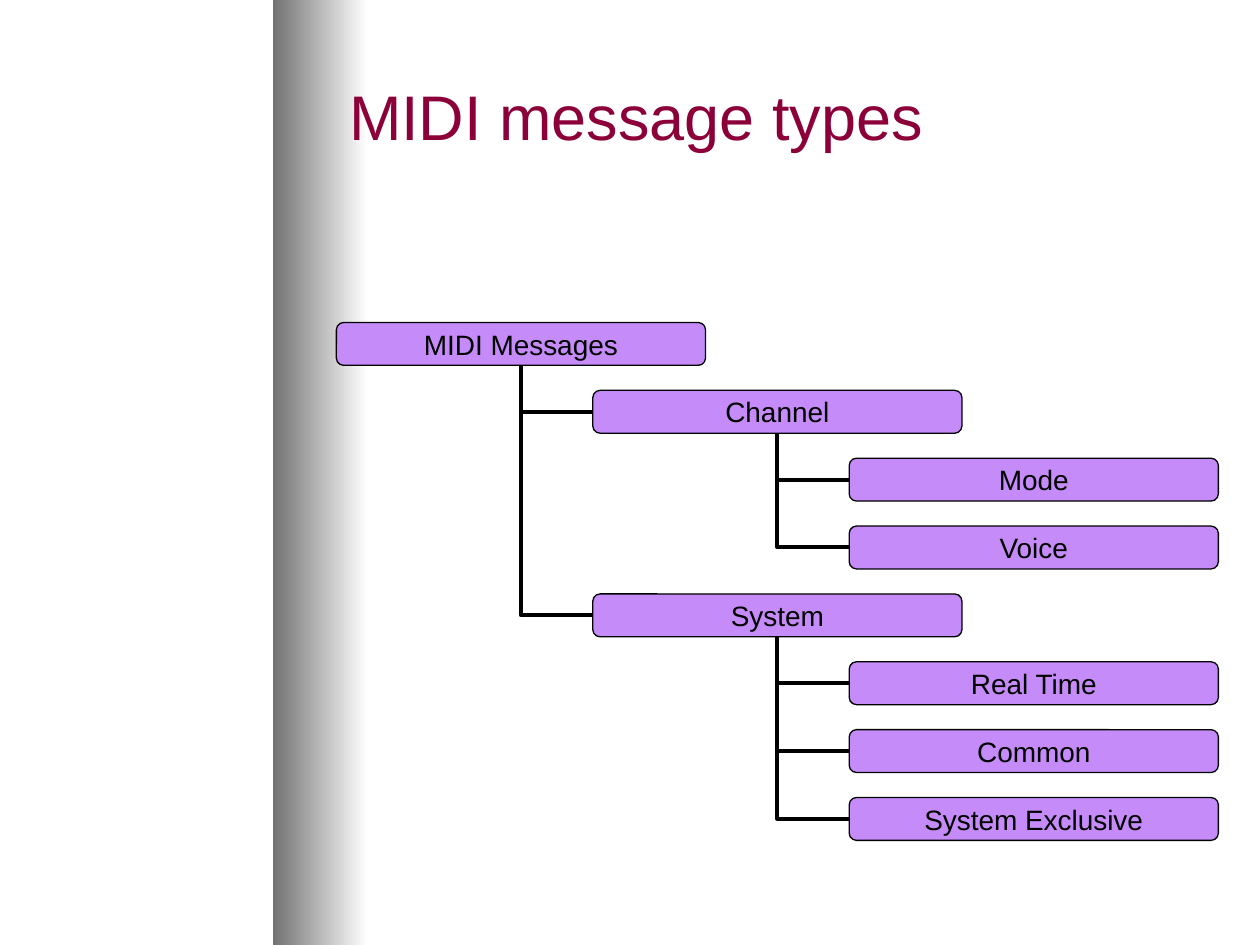
from pptx import Presentation
from pptx.dml.color import RGBColor
from pptx.enum.shapes import MSO_CONNECTOR as Connector, MSO_SHAPE as Shape
from pptx.enum.text import MSO_ANCHOR as Anchor, PP_ALIGN as Align
from pptx.oxml.ns import qn
from pptx.util import Inches, Pt
from lxml import etree

MAROON = RGBColor(0x8C, 0x00, 0x39)
LILAC = RGBColor(0xC5, 0x8B, 0xF9)
GREY = RGBColor(0x73, 0x73, 0x73)
WHITE = RGBColor(0xFF, 0xFF, 0xFF)
BLACK = RGBColor(0x00, 0x00, 0x00)

MESSAGE_TREE = ("MIDI Messages", [
    ("Channel", [("Mode", []), ("Voice", [])]),
    ("System", [("Real Time", []), ("Common", []), ("System Exclusive", [])]),
])
LEVELS, ROWS = 3, 8
NODE_WIDTH, NODE_HEIGHT = Inches(2.93), Inches(0.34)
LEFT_SITE, BOTTOM_SITE = 1, 2


def write_text(shape, text, size, color, align=Align.LEFT, wrap=True, inset=None):
    frame = shape.text_frame
    frame.word_wrap = wrap
    frame.vertical_anchor = Anchor.MIDDLE
    if inset is not None:
        frame.margin_left = frame.margin_right = inset
        frame.margin_top = frame.margin_bottom = inset // 2
    paragraph = frame.paragraphs[0]
    paragraph.text = text
    paragraph.alignment = align
    font = paragraph.runs[0].font
    font.name, font.size, font.color.rgb = "Arial", Pt(size), color


def add_shaded_band(slide, left, top, width, height):
    """Place a band that fades from grey to white, behind everything else."""
    band = slide.shapes.add_shape(Shape.RECTANGLE, left, top, width, height)
    band.shadow.inherit = False
    band.line.fill.background()
    band.fill.gradient()
    band.fill.gradient_angle = 180
    for stop, color in zip(band.fill.gradient_stops, (WHITE, GREY)):
        stop.color.rgb = color
    band.element.getparent().insert(2, band.element)


def place_title(slide, left, top, width, height):
    title = slide.shapes.title
    title.left, title.top, title.width, title.height = left, top, width, height
    write_text(title, "MIDI message types", size=36, color=MAROON)


def add_node(slide, label, left, top):
    node = slide.shapes.add_shape(
        Shape.ROUNDED_RECTANGLE, left, top, NODE_WIDTH, NODE_HEIGHT)
    node.adjustments[0] = 0.17
    node.shadow.inherit = False
    node.fill.solid()
    node.fill.fore_color.rgb = LILAC
    node.line.color.rgb = BLACK
    node.line.width = Pt(0.75)
    write_text(node, label, size=16, color=BLACK, align=Align.CENTER,
               wrap=False, inset=Inches(0.02))
    return node


def add_branch(slide, child, parent):
    """Join the child's left side to the parent's bottom with one bend."""
    branch = slide.shapes.add_connector(
        Connector.ELBOW,
        child.left, child.top + child.height // 2,
        parent.left + parent.width // 2, parent.top + parent.height)
    branch.begin_connect(child, LEFT_SITE)
    branch.end_connect(parent, BOTTOM_SITE)
    branch.line.color.rgb = BLACK
    branch.line.width = Pt(2.25)
    properties = branch.element.spPr
    properties.find(qn("a:prstGeom")).set("prst", "bentConnector2")
    etree.SubElement(properties, qn("a:effectLst"))


def add_message_tree(slide, left, top, width, height):
    """Draw one node a row, indented by its level in the tree."""
    indent = (width - NODE_WIDTH) // (LEVELS - 1)
    pitch = (height - NODE_HEIGHT) // (ROWS - 1)

    def add_subtree(entry, level, row, parent=None):
        label, children = entry
        node = add_node(slide, label, left + level * indent, top + row * pitch)
        if parent is not None:
            add_branch(slide, node, parent)
        next_row = row + 1
        for child in children:
            next_row = add_subtree(child, level + 1, next_row, node)
        return next_row

    add_subtree(MESSAGE_TREE, 0, 0)


def main():
    deck = Presentation()
    deck.slide_width, deck.slide_height = Inches(10), Inches(7.5)
    slide = deck.slides.add_slide(deck.slide_layouts[5])
    add_shaded_band(slide, Inches(2.17), 0, Inches(0.75), deck.slide_height)
    place_title(slide, Inches(2.67), Inches(0.25), Inches(7), Inches(1.33))
    add_message_tree(slide, Inches(2.67), Inches(2.56), Inches(7), Inches(4.11))
    deck.save("out.pptx")


if __name__ == "__main__":
    main()
